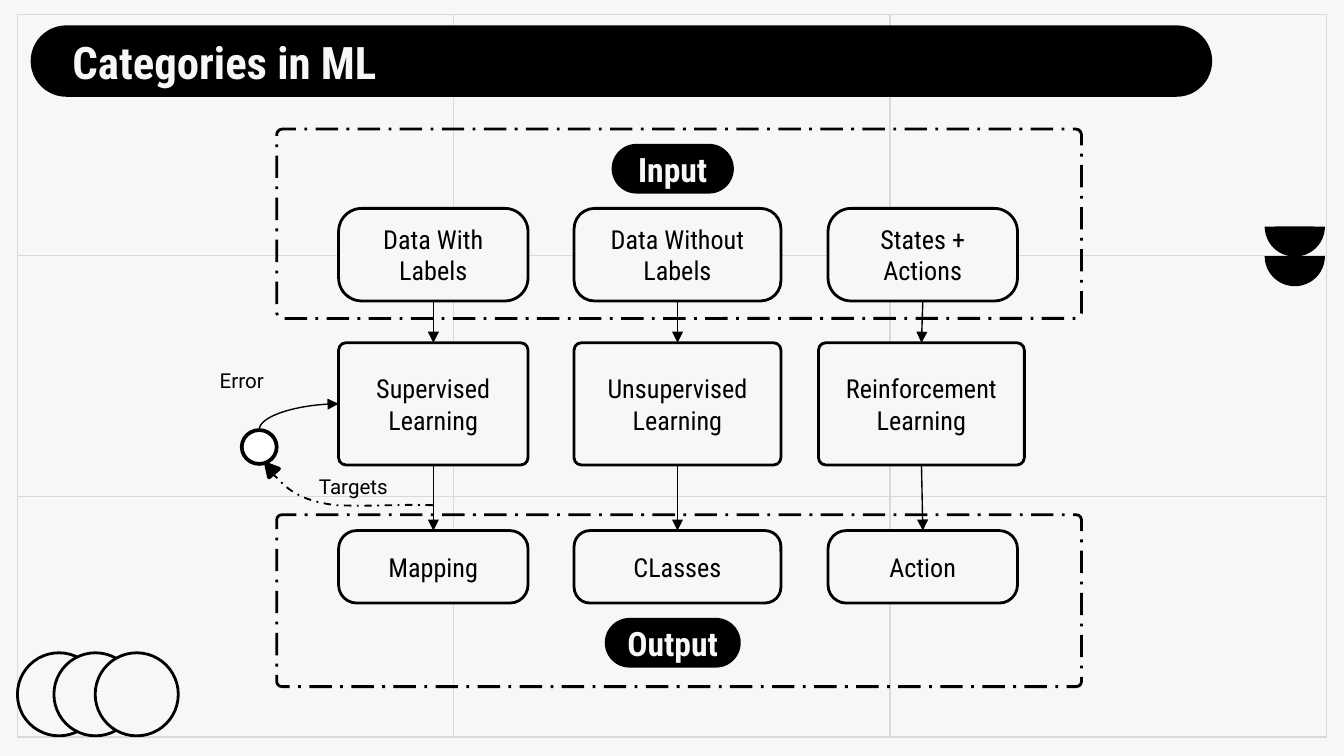
from pptx import Presentation
from pptx import util as u
from pptx.dml.color import RGBColor
from pptx.enum import dml, shapes, text
from pptx.oxml.ns import qn
from lxml import etree

Cm, Pt = u.Cm, u.Pt
KIND, DASH = shapes.MSO_SHAPE, dml.MSO_LINE
INK, PAPER, GRID = "000000", "F7F7F7", "D9D9D9"
CONDENSED = "Roboto Condensed"


def color(value):
    return RGBColor.from_string(value)


def style_line(line, value, width, dash=None):
    line.color.rgb = color(value)
    line.width = Pt(width)
    if dash:
        line.dash_style = dash


def style_shape(shape, fill=None, line=None, width=1.5, dash=None):
    shape.shadow.inherit = False
    if fill:
        shape.fill.solid()
        shape.fill.fore_color.rgb = color(fill)
    else:
        shape.fill.background()
    if line:
        style_line(shape.line, line, width, dash)
    else:
        shape.line.fill.background()


def write(shape, words, size, font=CONDENSED, ink=INK, bold=False,
          align=text.PP_ALIGN.CENTER, anchor=text.MSO_ANCHOR.MIDDLE):
    frame = shape.text_frame
    frame.word_wrap = True
    frame.auto_size = text.MSO_AUTO_SIZE.NONE
    frame.vertical_anchor = anchor
    frame.margin_left = frame.margin_right = Cm(0.25)
    frame.text = words
    for paragraph in frame.paragraphs:
        paragraph.alignment = align
        paragraph.font.size = Pt(size)
        paragraph.font.name = font
        paragraph.font.bold = bold
        paragraph.font.color.rgb = color(ink)


def add_shape(slide, kind, box, adjust=(), **style):
    shape = slide.shapes.add_shape(kind, *map(Cm, box))
    for i, value in enumerate(adjust):
        shape.adjustments[i] = value
    style_shape(shape, **style)
    return shape


def add_box(slide, box, words, corner):
    shape = add_shape(slide, KIND.ROUNDED_RECTANGLE, box, [corner], fill=PAPER, line=INK)
    write(shape, words, 14)
    return shape


def add_pill(slide, box, words):
    pill = add_shape(slide, KIND.ROUNDED_RECTANGLE, box, [0.5], fill=INK)
    write(pill, words, 18, ink=PAPER, bold=True)


def add_frame(slide, top, height):
    add_shape(slide, KIND.ROUNDED_RECTANGLE, (5.23, top, 15.21, height), [0.03],
              line=INK, dash=DASH.LONG_DASH_DOT)


def add_label(slide, left, top, words):
    label = slide.shapes.add_textbox(Cm(left), Cm(top), Cm(1.98), Cm(0.74))
    write(label, words, 11, font="Roboto", anchor=text.MSO_ANCHOR.TOP)


def add_line(slide, start, end, value=INK, arrow=False, kind=shapes.MSO_CONNECTOR.STRAIGHT):
    line = slide.shapes.add_connector(kind, *map(Cm, (*start, *end)))
    style_line(line.line, value, 0.75)
    if arrow:
        etree.SubElement(line.line._get_or_add_ln(), qn("a:tailEnd"), type="triangle")
    etree.SubElement(line._element.spPr, qn("a:effectLst"))
    return line


def join_down(slide, upper, lower):
    arrow = add_line(slide, (0, 0), (1, 1), arrow=True)
    arrow.begin_connect(upper, 2)
    arrow.end_connect(lower, 0)


def bezier(p0, p1, p2, p3, steps=16):
    for i in range(1, steps + 1):
        t = i / steps
        s = 1 - t
        yield tuple(Cm(s**3 * a + 3 * s * s * t * b + 3 * s * t * t * c + t**3 * d)
                    for a, b, c, d in zip(p0, p1, p2, p3))


def add_background(slide):
    slide.background.fill.solid()
    slide.background.fill.fore_color.rgb = color(PAPER)
    # Three by three grid
    left, top, width, height = 0.33, 0.28, 24.74, 13.65
    add_shape(slide, KIND.RECTANGLE, (left, top, width, height), line=GRID, width=0.75)
    for third in (1 / 3, 2 / 3):
        x, y = left + width * third, top + height * third
        add_line(slide, (x, top), (x, top + height), GRID)
        add_line(slide, (left, y), (left + width, y), GRID)
    # Corner ornaments
    for x in (0.33, 1.02, 1.8):
        add_shape(slide, KIND.OVAL, (x, 12.34, 1.57, 1.57), fill=PAPER, line=INK)
    for y in (4.27, 3.71):
        half = add_shape(slide, KIND.PIE, (23.9, y, 1.14, 1.14), [108.11, 215.89], fill=INK)
        half.rotation = 180


def add_title(slide):
    bar = add_shape(slide, KIND.ROUNDED_RECTANGLE, (0.58, 0.48, 22.33, 1.35), [0.5], fill=INK)
    title = slide.shapes.title
    title.left, title.top, title.width, title.height = map(Cm, (1.12, 0.51, 21.44, 1.32))
    write(title, "Categories in ML", 24, ink=PAPER, bold=True, align=text.PP_ALIGN.LEFT)
    bar._element.addnext(title._element)  # title in front of its bar


def add_feedback(slide):
    # Dashed path from the mapping arrow back to the error node
    start, middle, end = (8.18, 9.55), (6.35, 9.55), (5.18, 8.99)
    points = [*bezier(start, (7.44, 9.53), (7.06, 9.58), middle),
              *bezier(middle, (5.44, 9.45), (5.28, 9.02), end)]
    builder = slide.shapes.build_freeform(*map(Cm, start))
    builder.add_line_segments(points, close=False)
    style_shape(builder.convert_to_shape(), line=INK, width=1, dash=DASH.DASH_DOT)
    head = add_shape(slide, KIND.ISOSCELES_TRIANGLE, (4.98, 8.74, 0.25, 0.23),
                     fill=INK, line=INK, width=2)
    head.rotation = 319.4
    add_label(slide, 5.69, 8.84, "Targets")

    # Error node and its curved arrow: a quarter bend turned upright
    add_shape(slide, KIND.OVAL, (4.57, 8.13, 0.66, 0.64), fill="FFFFFF", line=INK, width=2)
    x, y, rise, run = 5.65, 7.88, 0.49, 1.5
    bend = add_line(slide, (x + rise / 2, y + run / 2), (x - rise / 2, y - run / 2),
                    arrow=True, kind=shapes.MSO_CONNECTOR.CURVE)
    bend._element.spPr.find(qn("a:prstGeom")).set("prst", "curvedConnector2")
    bend._element.spPr.find(qn("a:xfrm")).set("rot", "5400000")
    add_label(slide, 3.58, 6.83, "Error")


def add_flow(slide):
    # Column: left, width, learning left, learning width, corner, three texts
    columns = [
        (6.4, 3.58, 6.4, 3.58, 0.25, "Data With Labels", "Supervised", "Mapping"),
        (10.85, 3.91, 10.85, 3.91, 0.22, "Data Without Labels", "Unsupervised", "CLasses"),
        (15.65, 3.58, 15.47, 3.89, 0.25, "States + Actions", "Reinforcement", "Action"),
    ]
    add_frame(slide, 2.44, 3.58)
    add_frame(slide, 9.73, 3.25)
    add_pill(slide, (11.56, 2.72, 2.31, 0.94), "Input")
    add_pill(slide, (11.43, 11.68, 2.57, 0.94), "Output")
    for left, width, mid_left, mid_width, corner, data, method, result in columns:
        source = add_box(slide, (left, 3.94, width, 1.75), data, corner)
        learning = add_box(slide, (mid_left, 6.48, mid_width, 2.31),
                           method + "\nLearning", 0.06)
        output = add_box(slide, (left, 10.03, width, 1.37), result, corner)
        join_down(slide, source, learning)
        join_down(slide, learning, output)


def main():
    deck = Presentation()
    deck.slide_width, deck.slide_height = Cm(25.4), Cm(14.29)
    slide = deck.slides.add_slide(deck.slide_layouts[5])
    add_background(slide)
    add_title(slide)
    add_flow(slide)
    add_feedback(slide)
    deck.save("out.pptx")


if __name__ == "__main__":
    main()
